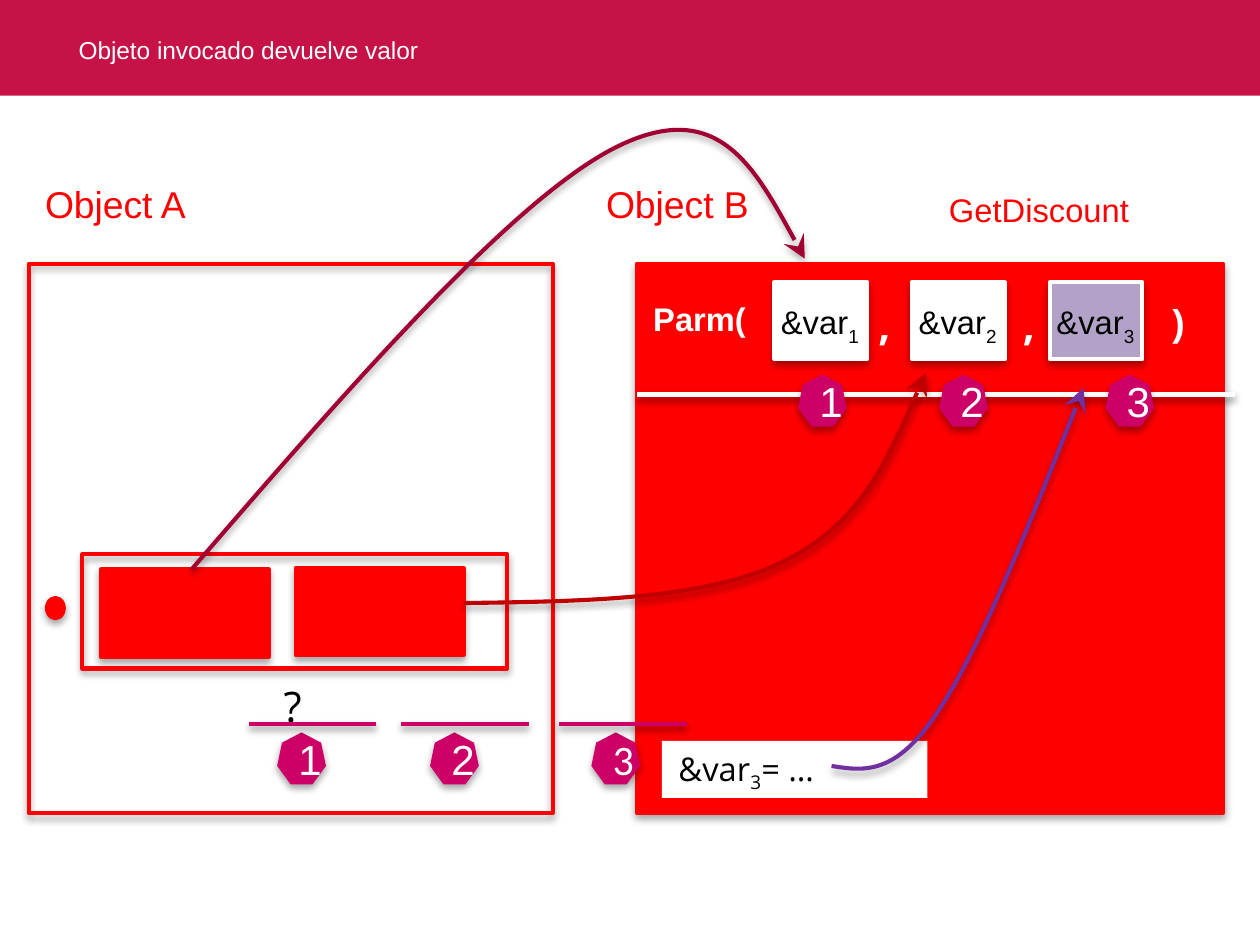
import pptx
import pptx.util
import pptx.dml.color
import pptx.enum.shapes
import pptx.enum.text
import pptx.oxml
import pptx.oxml.ns

Inches, Pt = pptx.util.Inches, pptx.util.Pt
RGBColor = pptx.dml.color.RGBColor
SHAPE = pptx.enum.shapes.MSO_SHAPE
ALIGN = pptx.enum.text.PP_ALIGN
ANCHOR = pptx.enum.text.MSO_ANCHOR
qn = pptx.oxml.ns.qn

CRIMSON = RGBColor(0xC6, 0x12, 0x47)
RED = RGBColor(0xFF, 0x00, 0x00)
WHITE = RGBColor(0xFF, 0xFF, 0xFF)
BLACK = RGBColor(0x00, 0x00, 0x00)
LILAC = RGBColor(0xB3, 0xA2, 0xC7)
MAGENTA = RGBColor(0xCC, 0x00, 0x66)
WINE = RGBColor(0xA0, 0x00, 0x32)
DARK_RED = RGBColor(0xC0, 0x00, 0x00)
PURPLE = RGBColor(0x70, 0x30, 0xA0)
NS = 'xmlns:a="http://schemas.openxmlformats.org/drawingml/2006/main"'


def add_shadow(sp, dist=1.8, alpha=35):
    """Give a shape or connector a soft shadow straight below it."""
    sp_pr = sp._element.spPr
    for old in sp_pr.findall(qn("a:effectLst")):
        sp_pr.remove(old)
    sp_pr.append(pptx.oxml.parse_xml(
        f'<a:effectLst {NS}><a:outerShdw blurRad="{Pt(3.1)}" dist="{Pt(dist)}" '
        f'dir="5400000" rotWithShape="0"><a:srgbClr val="000000">'
        f'<a:alpha val="{alpha * 1000}"/></a:srgbClr></a:outerShdw></a:effectLst>'))


def write(tf, text, size=14, font="Arial", color=BLACK, bold=False,
          align=ALIGN.LEFT, wrap=False):
    """Write text; a part between underscores is set as a subscript."""
    tf.word_wrap = wrap
    p = tf.paragraphs[0]
    p.alignment = align
    for i, part in enumerate(text.split("_")):
        if not part:
            continue
        r = p.add_run()
        r.text = part
        r.font.size, r.font.name, r.font.bold = Pt(size), font, bold
        r.font.color.rgb = color
        if i % 2:
            r.font._element.set("baseline", "-25000")


def add_label(s, x, y, w, h, text, **fmt):
    sp = s.shapes.add_textbox(Inches(x), Inches(y), Inches(w), Inches(h))
    write(sp.text_frame, text, **fmt)


def add_block(s, x, y, w, h, fill=None, line=None, kind=SHAPE.RECTANGLE, shadow=True):
    sp = s.shapes.add_shape(kind, Inches(x), Inches(y), Inches(w), Inches(h))
    sp.shadow.inherit = False
    if fill is None:
        sp.fill.background()
    else:
        sp.fill.solid()
        sp.fill.fore_color.rgb = fill
    if line is None:
        sp.line.fill.background()
    else:
        sp.line.color.rgb = line
        sp.line.width = Pt(1.75)
    if shadow:
        add_shadow(sp)
    return sp


def add_rule(s, x, y, w, color):
    c = s.shapes.add_connector(pptx.enum.shapes.MSO_CONNECTOR.STRAIGHT,
                               Inches(x), Inches(y), Inches(x + w), Inches(y))
    c.line.color.rgb = color
    c.line.width = Pt(2)
    add_shadow(c, dist=1.6, alpha=38)


def add_marker(s, x, y, number, font="Arial"):
    sp = add_block(s, x, y, 0.29, 0.31, fill=MAGENTA, kind=SHAPE.HEPTAGON)
    sp.text_frame.vertical_anchor = ANCHOR.MIDDLE
    write(sp.text_frame, str(number), size=18, font=font, color=WHITE,
          align=ALIGN.CENTER, wrap=True)


def add_curve(s, x, y, points, color):
    """Draw a curved arrow: a start point, then three points per Bezier segment."""
    start, *rest = [(Inches(x + px), Inches(y + py)) for px, py in points]
    fb = s.shapes.build_freeform(*start)
    fb.add_line_segments(rest, close=False)
    sp = fb.convert_to_shape()
    path = sp._element.spPr.find(".//" + qn("a:path"))
    steps = path.findall(qn("a:lnTo"))
    for i in range(0, len(steps), 3):
        bezier = pptx.oxml.parse_xml(f"<a:cubicBezTo {NS}/>")
        for step in steps[i:i + 3]:
            bezier.append(step[0])
            path.remove(step)
        path.append(bezier)
    sp.fill.background()
    sp.line.color.rgb = color
    sp.line.width = Pt(1.75)
    sp.line._get_or_add_ln().append(
        pptx.oxml.parse_xml(f'<a:tailEnd {NS} type="stealth" w="lg" len="lg"/>'))
    add_shadow(sp)


def header(s, x, y, w, h):
    add_block(s, x, y, w, h, fill=CRIMSON, shadow=False)
    add_label(s, x + 0.37, y + 0.16, 2.37, 0.36, "Objeto invocado devuelve valor",
              size=10.5, color=WHITE, wrap=True)


def object_a(s, x, y, w, h):
    add_label(s, x, y - 0.54, 1.05, 0.37, "Object A", size=16, color=RED)
    add_block(s, x, y, w, h, line=RED)
    # The call with its two arguments
    add_block(s, x + 0.11, y + 1.99, 0.1, 0.12, fill=RED, line=RED, kind=SHAPE.OVAL)
    add_block(s, x + 0.43, y + 1.82, 1, 0.52, fill=RED, line=RED)
    add_block(s, x + 0.32, y + 1.73, 2.53, 0.68, line=RED)
    add_block(s, x + 1.59, y + 1.81, 1, 0.52, fill=RED, line=RED)
    add_label(s, x + 1.42, y + 2.43, 0.34, 0.4, "?", size=18, font="Open Sans")


def object_b(s, x, y, w, h):
    add_label(s, x - 0.28, y - 0.54, 1.06, 0.37, "Object B", size=16, color=RED)
    add_label(s, x + 1.76, y - 0.49, 1.28, 0.34, "GetDiscount", color=RED)
    add_block(s, x, y, w, h, fill=RED, line=RED)
    add_rule(s, x, y + 0.78, 3.56, WHITE)
    # Parameter list
    add_label(s, x, y + 0.16, 0.76, 0.34, "Parm(", color=WHITE, bold=True)
    for i, fill in enumerate((WHITE, WHITE, LILAC)):
        left = x + 0.82 + i * 0.82
        add_block(s, left, y + 0.11, 0.55, 0.46, fill=fill, line=WHITE)
        add_label(s, left - 0.06, y + 0.18, 0.68, 0.34, f"&var_{i + 1}_")
    for dx in (1.34, 2.2):
        add_label(s, x + dx, y + 0.16, 0.27, 0.4, ",", size=18, font="Open Sans",
                  color=WHITE, bold=True)
    add_label(s, x + 3.09, y + 0.16, 0.28, 0.37, ")", size=16, color=WHITE, bold=True)


def argument_arrows(s, x, y):
    add_curve(s, x, y, [(0, 0), (0.95, -1.1), (1.91, -2.2), (2.52, -2.51),
                        (3.13, -2.82), (3.39, -2.33), (3.65, -1.85)], WINE)
    add_curve(s, x, y, [(1.62, 0.2), (2.35, 0.19), (3.07, 0.18), (3.53, -0.05),
                        (3.99, -0.28), (4.18, -0.73), (4.37, -1.17)], DARK_RED)


def position_markers(s, x, y):
    # Parameter positions in Object B
    for i, dx in enumerate((3.27, 4.11, 5.1), 1):
        add_marker(s, x + dx, y - 2.08, i)
    # Argument positions in the call
    for i, (dx, marker_dx, font) in enumerate(
            ((0, 0.17, "Arial"), (0.91, 1.08, "Arial"), (1.85, 2.04, "Calibri")), 1):
        add_marker(s, x + marker_dx, y + 0.05, i, font)
        add_rule(s, x + dx, y, 0.76, MAGENTA)


def result_value(s, x, y, w, h):
    sp = add_block(s, x, y, w, h, fill=WHITE, shadow=False)
    sp.text_frame.vertical_anchor = ANCHOR.TOP
    write(sp.text_frame, "&var_3_= …", font="Open Sans", wrap=True)
    add_curve(s, x, y, [(1.01, 0.15), (1.2, 0.18), (1.39, 0.21), (1.64, -0.17),
                        (1.89, -0.54), (2.2, -1.32), (2.51, -2.1)], PURPLE)


def main():
    prs = pptx.Presentation()
    prs.slide_width = Inches(7.5)
    prs.slide_height = prs.slide_width * 3 // 4
    s = prs.slides.add_slide(prs.slide_layouts[6])
    header(s, 0, 0, 7.5, 0.57)
    object_a(s, 0.17, 1.57, 3.12, 3.27)
    object_b(s, 3.79, 1.57, 3.49, 3.27)
    argument_arrows(s, 1.14, 3.39)
    position_markers(s, 1.48, 4.31)
    result_value(s, 3.94, 4.41, 1.58, 0.34)
    prs.save("out.pptx")


if __name__ == "__main__":
    main()
